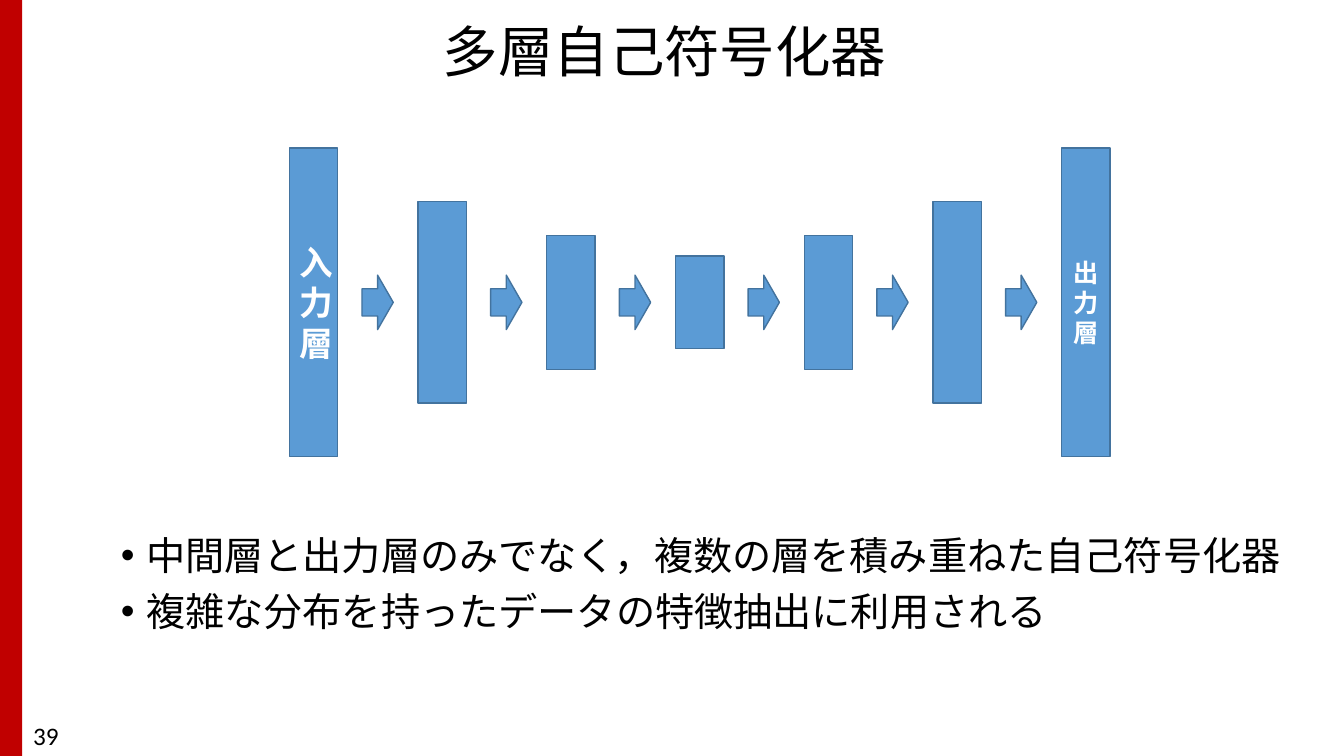
from lxml.etree import SubElement
from pptx import Presentation
from pptx.dml.color import RGBColor
from pptx.enum.shapes import MSO_SHAPE as Preset
from pptx.enum.text import MSO_ANCHOR as Anchor, MSO_AUTO_SIZE as AutoSize, PP_ALIGN as Align
from pptx.oxml.ns import qn
from pptx.util import Inches, Pt

BLACK = RGBColor(0x00, 0x00, 0x00)
WHITE = RGBColor(0xFF, 0xFF, 0xFF)
RED = RGBColor(0xC0, 0x00, 0x00)
BLUE = RGBColor(0x5B, 0x9B, 0xD5)
DARK_BLUE = RGBColor(0x43, 0x73, 0x9E)
JAPANESE_FONT = "Noto Sans CJK JP"
LATIN_FONT = "Calibri"

# Layer diagram, in inches: one layer per column, centred on one axis
FIRST_LEFT, LAST_LEFT = 2.87, 10.53
AXIS = 3.0
LAYER_WIDTH = 0.48
ENCODER_HEIGHTS = [3.06, 2.0, 1.33]
LAYER_HEIGHTS = ENCODER_HEIGHTS + [0.92] + ENCODER_HEIGHTS[::-1]
PITCH = (LAST_LEFT - FIRST_LEFT) / (len(LAYER_HEIGHTS) - 1)
ARROW_OFFSET, ARROW_WIDTH, ARROW_HEIGHT = 0.72, 0.31, 0.54
LAYER_LABELS = {0: ("入力層", 24), len(LAYER_HEIGHTS) - 1: ("出力層", 18)}

BULLETS = [
    "中間層と出力層のみでなく，複数の層を積み重ねた自己符号化器",
    "複雑な分布を持ったデータの特徴抽出に利用される",
]


def add_run(paragraph, text, size, color=BLACK, bold=False, font=JAPANESE_FONT):
    run = paragraph.add_run()
    run.text = text
    run.font.size = Pt(size)
    run.font.bold = bold
    run.font.color.rgb = color
    run.font.name = font
    SubElement(run.font._element, qn("a:ea")).set("typeface", font)


def place(shape, left, top, width, height):
    shape.left, shape.top = Inches(left), Inches(top)
    shape.width, shape.height = Inches(width), Inches(height)


def add_block(slide, preset, left, top, width, height, fill, line=None):
    shape = slide.shapes.add_shape(
        preset, Inches(left), Inches(top), Inches(width), Inches(height))
    shape.shadow.inherit = False
    shape.fill.solid()
    shape.fill.fore_color.rgb = fill
    if line is None:
        shape.line.fill.background()
    else:
        shape.line.color.rgb = line
        shape.line.width = Pt(1)
    return shape


def add_centred(slide, preset, left, width, height):
    """Add a blue block centred vertically on the diagram's axis."""
    return add_block(slide, preset, left, AXIS - height / 2, width, height, BLUE, DARK_BLUE)


def add_layers(slide):
    for column, height in enumerate(LAYER_HEIGHTS):
        left = FIRST_LEFT + column * PITCH
        layer = add_centred(slide, Preset.RECTANGLE, left, LAYER_WIDTH, height)
        if column in LAYER_LABELS:
            text, size = LAYER_LABELS[column]
            layer.text_frame.word_wrap = True
            paragraph = layer.text_frame.paragraphs[0]
            paragraph.alignment = Align.CENTER
            add_run(paragraph, text, size, WHITE, bold=True)
        if column < len(LAYER_HEIGHTS) - 1:
            add_centred(slide, Preset.RIGHT_ARROW, left + ARROW_OFFSET,
                        ARROW_WIDTH, ARROW_HEIGHT)


def fill_title(title, text):
    place(title, 4.29, 0.14, 5.08, 0.8)
    title.text_frame.auto_size = AutoSize.NONE
    title.text_frame.vertical_anchor = Anchor.MIDDLE
    paragraph = title.text_frame.paragraphs[0]
    paragraph.alignment = Align.LEFT
    paragraph.line_spacing = 0.9
    add_run(paragraph, text, 39.6)


def fill_bullets(body, items):
    place(body, 1.1, 5.27, 11.82, 2.06)
    frame = body.text_frame
    frame.auto_size = AutoSize.NONE
    for index, item in enumerate(items):
        paragraph = frame.add_paragraph() if index else frame.paragraphs[0]
        paragraph.line_spacing = 0.9
        paragraph.space_before = Pt(10)
        properties = paragraph._p.get_or_add_pPr()
        properties.set("marL", str(Inches(0.25)))
        properties.set("indent", str(-Inches(0.25)))
        SubElement(properties, qn("a:buFont")).set("typeface", "Arial")
        SubElement(properties, qn("a:buChar")).set("char", "•")
        add_run(paragraph, item, 28)


def add_page_number(slide, number):
    box = slide.shapes.add_textbox(Inches(0.23), Inches(7.1), Inches(3), Inches(0.4))
    box.text_frame.word_wrap = True
    add_run(box.text_frame.paragraphs[0], number, 18, font=LATIN_FONT)


def main():
    presentation = Presentation()
    presentation.slide_width, presentation.slide_height = Inches(13.33), Inches(7.5)
    slide = presentation.slides.add_slide(presentation.slide_layouts[1])
    add_block(slide, Preset.RECTANGLE, 0, 0, 0.22, 7.5, RED)
    fill_title(slide.shapes.title, "多層自己符号化器")
    fill_bullets(slide.placeholders[1], BULLETS)
    add_page_number(slide, "39")
    add_layers(slide)
    presentation.save("out.pptx")


if __name__ == "__main__":
    main()
